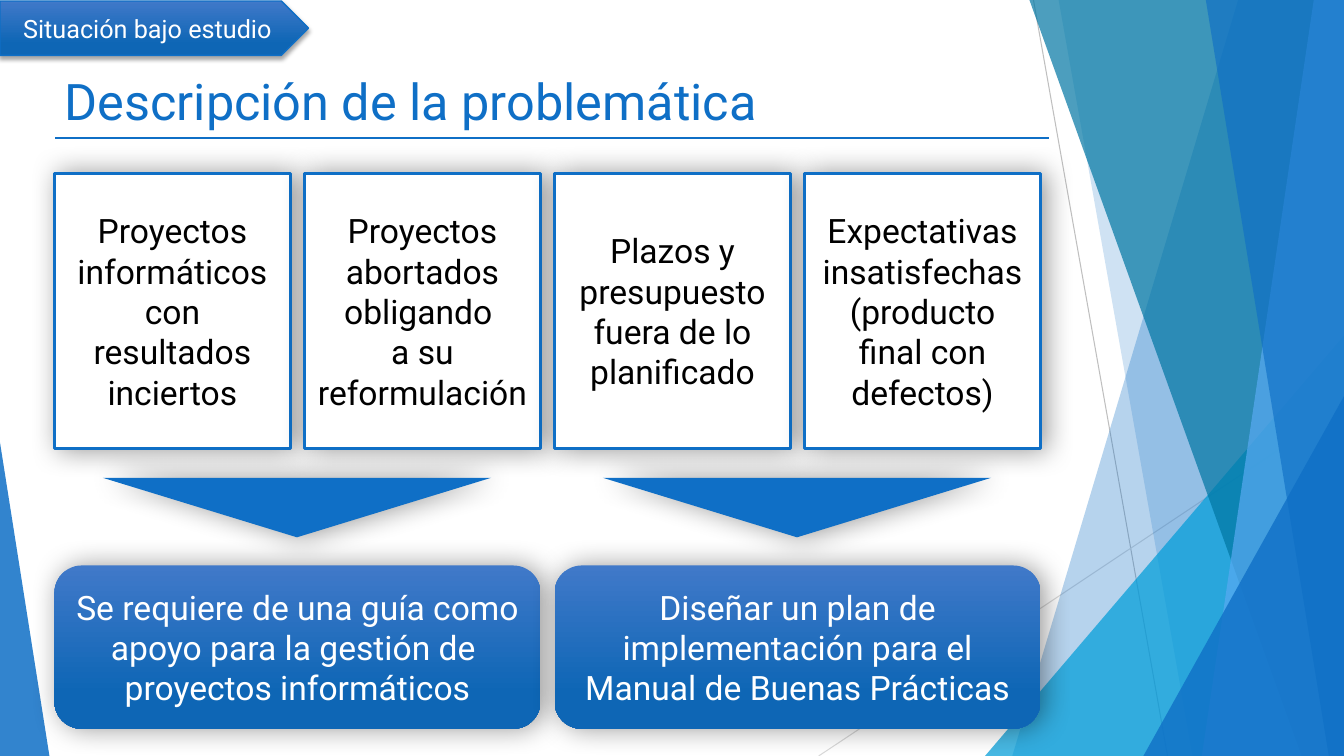
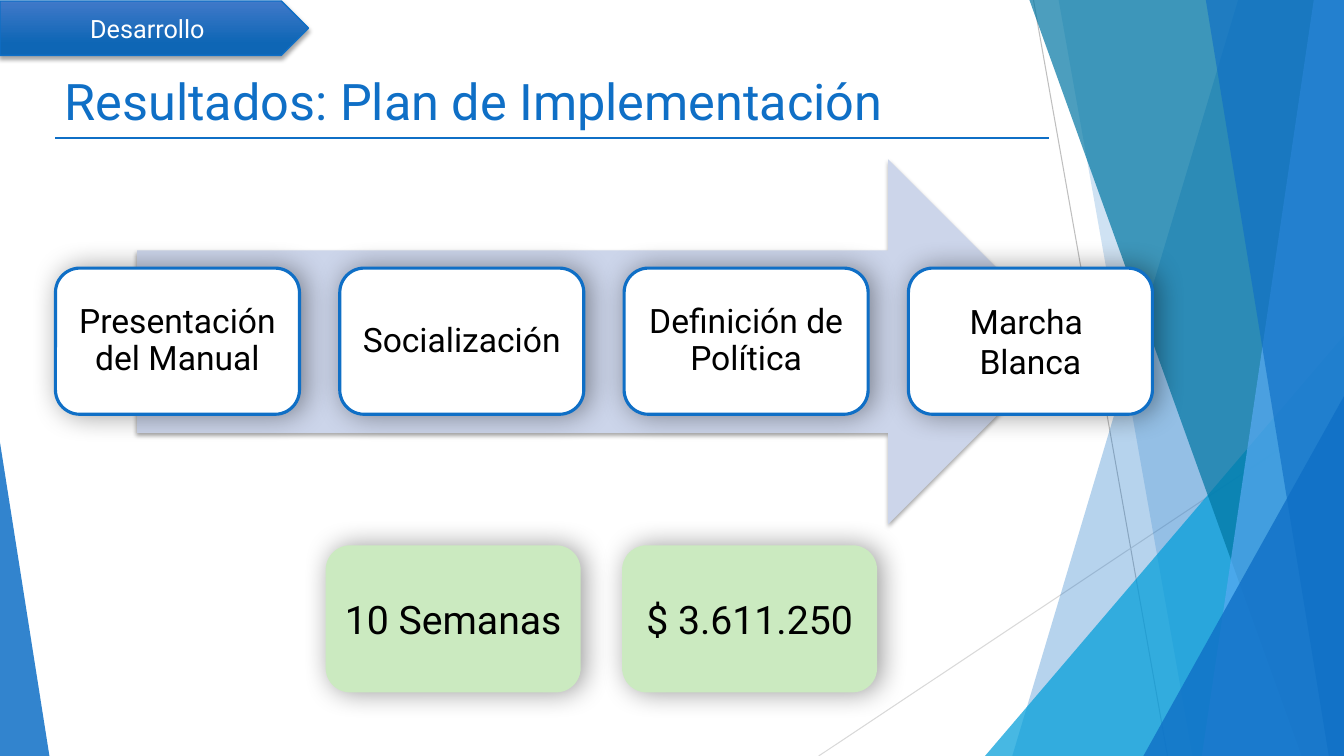
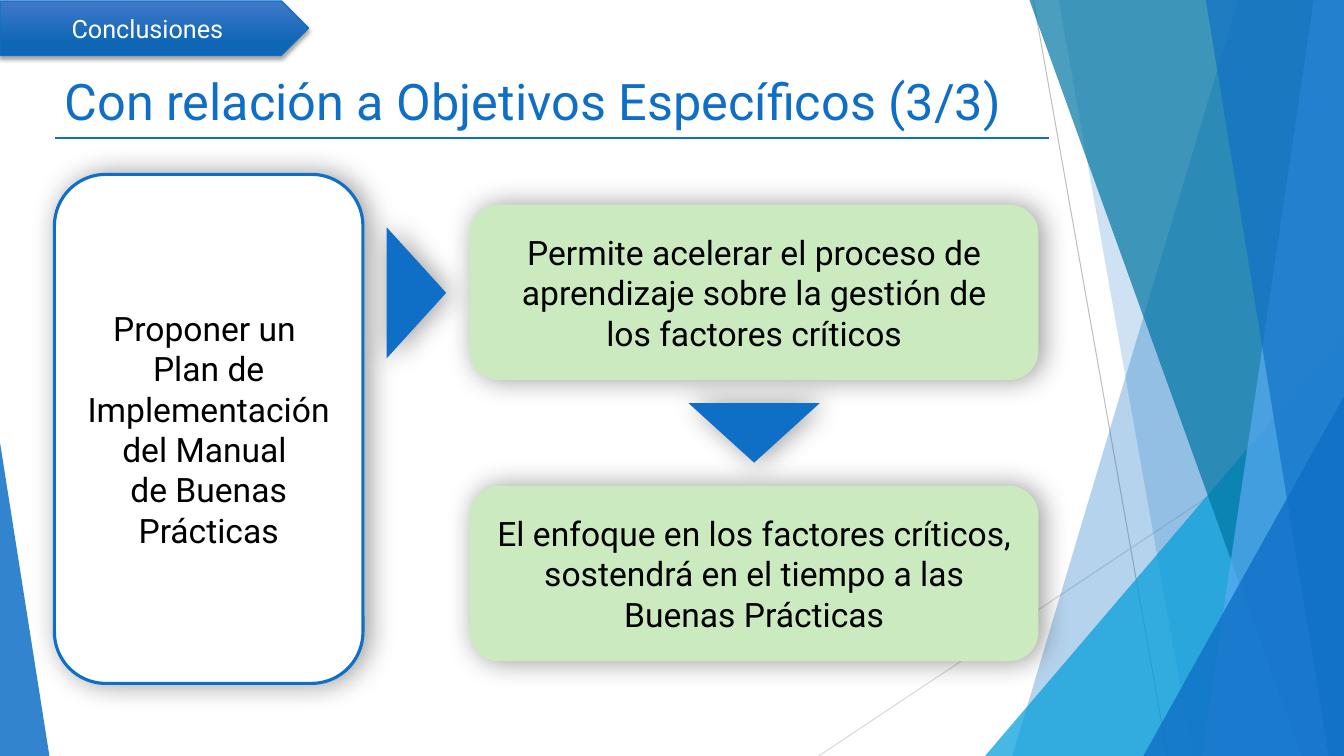
from lxml import etree
from pptx import Presentation
from pptx.dml.color import RGBColor
from pptx.enum.shapes import MSO_CONNECTOR, MSO_SHAPE
from pptx.enum.text import MSO_ANCHOR, MSO_AUTO_SIZE, PP_ALIGN
from pptx.oxml.ns import qn
from pptx.util import Emu, Pt

STRAIGHT = MSO_CONNECTOR.STRAIGHT
TAG = MSO_SHAPE.PENTAGON
CARD = MSO_SHAPE.FLOWCHART_PROCESS
ROUNDED = MSO_SHAPE.ROUNDED_RECTANGLE
POINTER = MSO_SHAPE.FLOWCHART_MERGE
TRIANGLE = MSO_SHAPE.ISOSCELES_TRIANGLE
ARROW = MSO_SHAPE.RIGHT_ARROW
MIDDLE = MSO_ANCHOR.MIDDLE
CENTER, LEFT = PP_ALIGN.CENTER, PP_ALIGN.LEFT
NO_AUTOFIT = MSO_AUTO_SIZE.NONE

SCALE = 9144  # EMU per px, 100 px to the inch
PAGE_WIDTH, PAGE_HEIGHT = 1333, 750
FONT = "Roboto"
BLUE, WHITE, BLACK = "0F6FC6", "FFFFFF", "000000"
GREEN, LAVENDER = "CBEAC0", "CCD5EA"
GRADIENT = ((0, "4079C9"), (0.78, "0E66B5"))
# Shadows: opacity %, blur pt, distance pt, direction in degrees
SOFT_SHADOW = (40, 20, 3, 0)
THIN_SHADOW = (35, 3, 2, 90)

TITLE_BOX = (54, 63, 1002, 74)
TAG_BOX = (0, 1, 306, 54)


def px(*lengths):
    return [Emu(length * SCALE) for length in lengths]


def color(value):
    return RGBColor.from_string(value)


# Shape helpers
def paint(shape, fill, line=None, line_width=2.25, alpha=None, shadow=None):
    if isinstance(fill, tuple):
        shape.fill.gradient()
        shape.fill.gradient_angle = 270
        for stop, (position, value) in zip(shape.fill.gradient_stops, fill):
            stop.position = position
            stop.color.rgb = color(value)
    else:
        shape.fill.solid()
        shape.fill.fore_color.rgb = color(fill)
    properties = shape.element.spPr
    if alpha:
        tint = properties.find(".//" + qn("a:srgbClr"))
        etree.SubElement(tint, qn("a:alpha"), val=str(alpha * 1000))
    if line:
        shape.line.color.rgb = color(line)
        shape.line.width = Pt(line_width)
    else:
        shape.line.fill.background()
    shape.shadow.inherit = False
    if shadow:
        opacity, blur, distance, direction = shadow
        outer = etree.SubElement(
            properties.find(qn("a:effectLst")), qn("a:outerShdw"),
            blurRad=str(Pt(blur)), dist=str(Pt(distance)),
            dir=str(direction * 60000), algn="ctr", rotWithShape="0")
        shade = etree.SubElement(outer, qn("a:srgbClr"), val=BLACK)
        etree.SubElement(shade, qn("a:alpha"), val=str(opacity * 1000))


def write(shape, text, size, text_color, align=CENTER, spacing=None):
    frame = shape.text_frame
    frame.word_wrap = True
    frame.auto_size = NO_AUTOFIT
    frame.vertical_anchor = MIDDLE
    frame.text = text
    for para in frame.paragraphs:
        para.alignment = align
        if spacing:
            para.line_spacing = spacing
        para.font.name = FONT
        para.font.size = Pt(size)
        para.font.color.rgb = color(text_color)


def block(page, kind, box, fill, text="", size=24, text_color=BLACK,
          line=None, line_width=2.25, shadow=SOFT_SHADOW, spacing=None):
    shape = page.shapes.add_shape(kind, *px(*box))
    paint(shape, fill, line, line_width, shadow=shadow)
    if text:
        write(shape, text, size, text_color, spacing=spacing)
    return shape


def rule(page, start, end, line, width):
    connector = page.shapes.add_connector(STRAIGHT, *px(*start, *end))
    connector.line.color.rgb = color(line)
    connector.line.width = Pt(width)
    etree.SubElement(connector.element.spPr, qn("a:effectLst"))


# Shared backdrop
def pane(page, top_left, bottom_left, fill, alpha):
    builder = page.shapes.build_freeform(top_left, 0, scale=SCALE)
    builder.add_line_segments([(PAGE_WIDTH, 0), (PAGE_WIDTH, PAGE_HEIGHT),
                               (bottom_left, PAGE_HEIGHT)])
    paint(builder.convert_to_shape(), fill, alpha=alpha)


def wedge(page, box, tip, fill, alpha):
    shape = page.shapes.add_shape(TRIANGLE, *px(*box))
    shape.adjustments[0] = tip
    paint(shape, fill, alpha=alpha)


def draw_backdrop(page):
    rule(page, (1025, 0), (1158, PAGE_HEIGHT), "BFBFBF", 0.75)
    rule(page, (PAGE_WIDTH, 403), (812, PAGE_HEIGHT), "D9D9D9", 0.75)
    pane(page, 1228, 1004, BLUE, 30)
    pane(page, 1050, 1183, BLUE, 20)
    wedge(page, (977, 333, 356, 417), 1, "009DD9", 72)
    pane(page, 1021, 1291, "0076A3", 70)
    pane(page, 1303, 1192, "59AAF2", 70)
    pane(page, 1196, 1318, BLUE, 65)
    wedge(page, (1134, 393, 199, 357), 1, BLUE, 80)
    wedge(page, (0, 439, 49, 311), 0, BLUE, 85)
    rule(page, (55, 137), (1040, 137), BLUE, 1)


def prepare_layout(deck):
    """Store the backdrop on the title layout, where every page shares it."""
    layout = deck.slide_layouts[5]
    for holder in list(layout.placeholders):
        if holder.placeholder_format.idx:
            layout.shapes.element.remove(holder.element)
    title = layout.placeholders[0]
    title.left, title.top, title.width, title.height = px(*TITLE_BOX)
    return layout


def share_backdrop(page, layout):
    draw_backdrop(page)
    for shape in list(page.shapes):
        if not shape.is_placeholder:
            layout.shapes.element.append(shape.element)


def add_page(deck, layout, section, title):
    page = deck.slides.add_slide(layout)
    if len(deck.slides) == 1:
        share_backdrop(page, layout)
    heading = page.shapes.title
    heading.left, heading.top, heading.width, heading.height = px(*TITLE_BOX)
    write(heading, title, 36, BLUE, LEFT)
    block(page, TAG, TAG_BOX, GRADIENT, section, 18, WHITE,
          line=BLUE, line_width=1, shadow=THIN_SHADOW)
    return page


# Regions
def row(page, kind, box, gap, texts, fill, **style):
    """Equal blocks side by side, filling the box; returns their boxes."""
    left, top, width, height = box
    cell = (width - gap * (len(texts) - 1)) // len(texts)
    cells = [(left + (cell + gap) * index, top, cell, height)
             for index in range(len(texts))]
    for cell_box, text in zip(cells, texts):
        block(page, kind, cell_box, fill, text, **style)
    return cells


def problems(page, box):
    left, top, width, _ = box
    row(page, CARD, (left, top, width, 273), 14, [
        "Proyectos informáticos con resultados inciertos",
        "Proyectos abortados obligando \na su reformulación",
        "Plazos y presupuesto fuera de lo planificado",
        "Expectativas insatisfechas (producto final con defectos)",
    ], WHITE, line=BLUE)
    needs = row(page, ROUNDED, (left, top + 389, width, 162), 14, [
        "Se requiere de una guía como apoyo para la gestión de \n"
        "proyectos informáticos",
        "Diseñar un plan de implementación para el Manual de Buenas Prácticas",
    ], GRADIENT, text_color=WHITE)
    for need_left, _, need_width, _ in needs:
        block(page, POINTER,
              (need_left + (need_width - 385) // 2, top + 302, 385, 59), BLUE)


def process(page, box):
    left, top, width, height = box
    block(page, ARROW, (left + 81, top, 926, height), LAVENDER,
          shadow=THIN_SHADOW)
    steps = ["Presentación del Manual", "Socialización",
             "Definición de Política", "Marcha \nBlanca"]
    step_width, pitch = 242, (width - 242) // (len(steps) - 1)
    for index, text in enumerate(steps):
        block(page, ROUNDED,
              (left + pitch * index, top + 108, step_width, 145), WHITE, text,
              line=BLUE, spacing=None if "\n" in text else 0.9)


def totals(page, box):
    row(page, ROUNDED, box, 41, ["10 Semanas", "$ 3.611.250"], GREEN, size=28)


def conclusions(page, box):
    left, top, width, height = box
    block(page, ROUNDED, (left, top, 306, height), WHITE,
          "Proponer un \nPlan de Implementación del Manual \n"
          "de Buenas Prácticas", line=BLUE)
    findings = [
        "Permite acelerar el proceso de aprendizaje sobre la gestión de\n"
        "los factores críticos",
        "El enfoque en los factores críticos, sostendrá en el tiempo a las "
        "Buenas Prácticas",
    ]
    finding_left, finding_width = left + 412, width - 412
    for index, text in enumerate(findings):
        block(page, ROUNDED, (finding_left, top + 30 + 279 * index,
                              finding_width, 174), GREEN, text)
    sideways = block(page, POINTER, (left + 294, top + 88, 130, 59), BLUE)
    sideways.rotation = 270
    block(page, POINTER, (finding_left + (finding_width - 130) // 2,
                          top + 227, 130, 59), BLUE)


def main():
    deck = Presentation()
    deck.slide_width, deck.slide_height = px(PAGE_WIDTH, PAGE_HEIGHT)
    layout = prepare_layout(deck)

    page = add_page(deck, layout, "Situación bajo estudio",
                    "Descripción de la problemática")
    problems(page, (54, 172, 978, 551))

    page = add_page(deck, layout, "Desarrollo",
                    "Resultados: Plan de Implementación")
    process(page, (55, 158, 1088, 362))
    totals(page, (323, 541, 547, 146))

    page = add_page(deck, layout, "Conclusiones",
                    "Con relación a Objetivos Específicos (3/3)")
    conclusions(page, (54, 173, 976, 505))

    deck.save("out.pptx")


if __name__ == "__main__":
    main()
